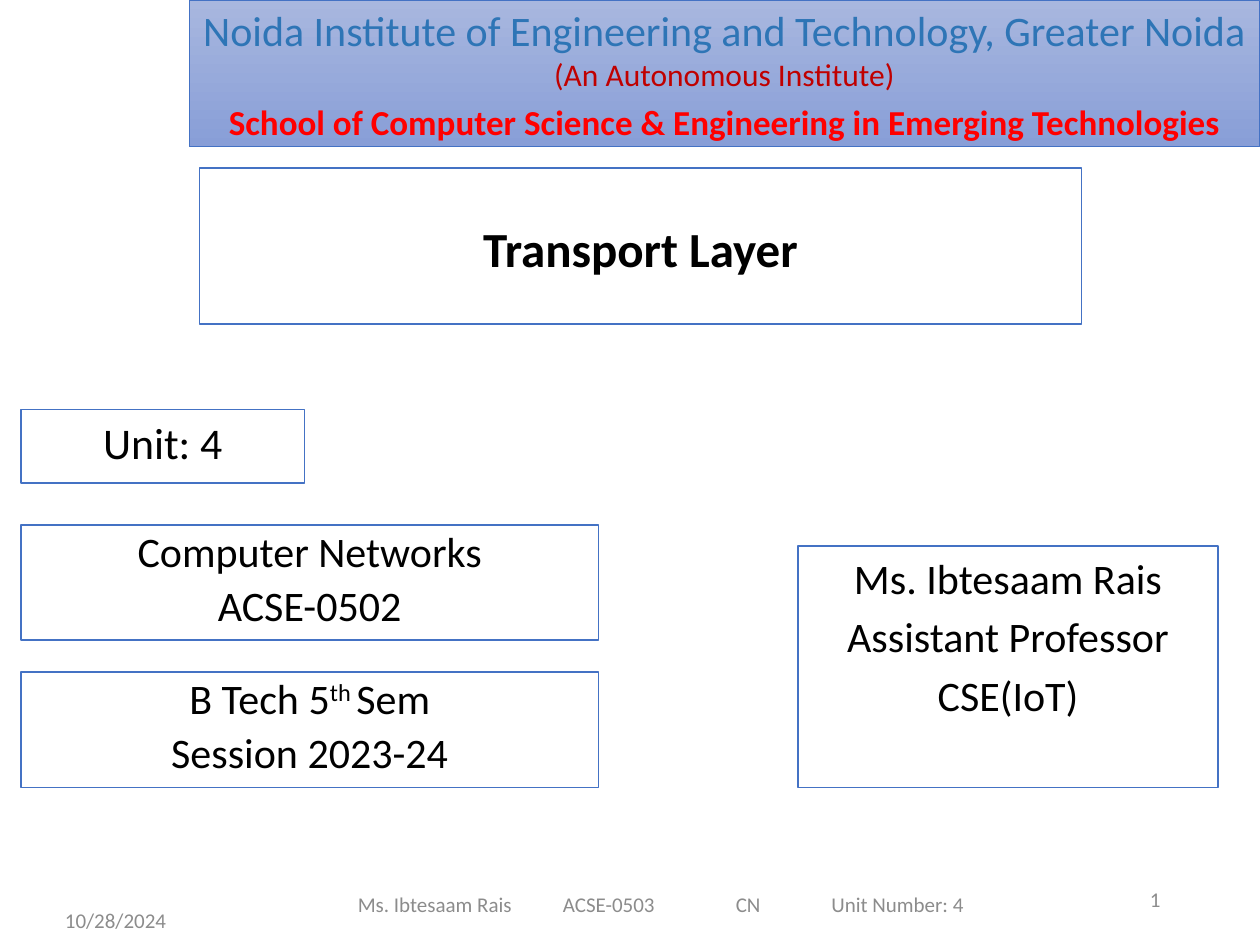
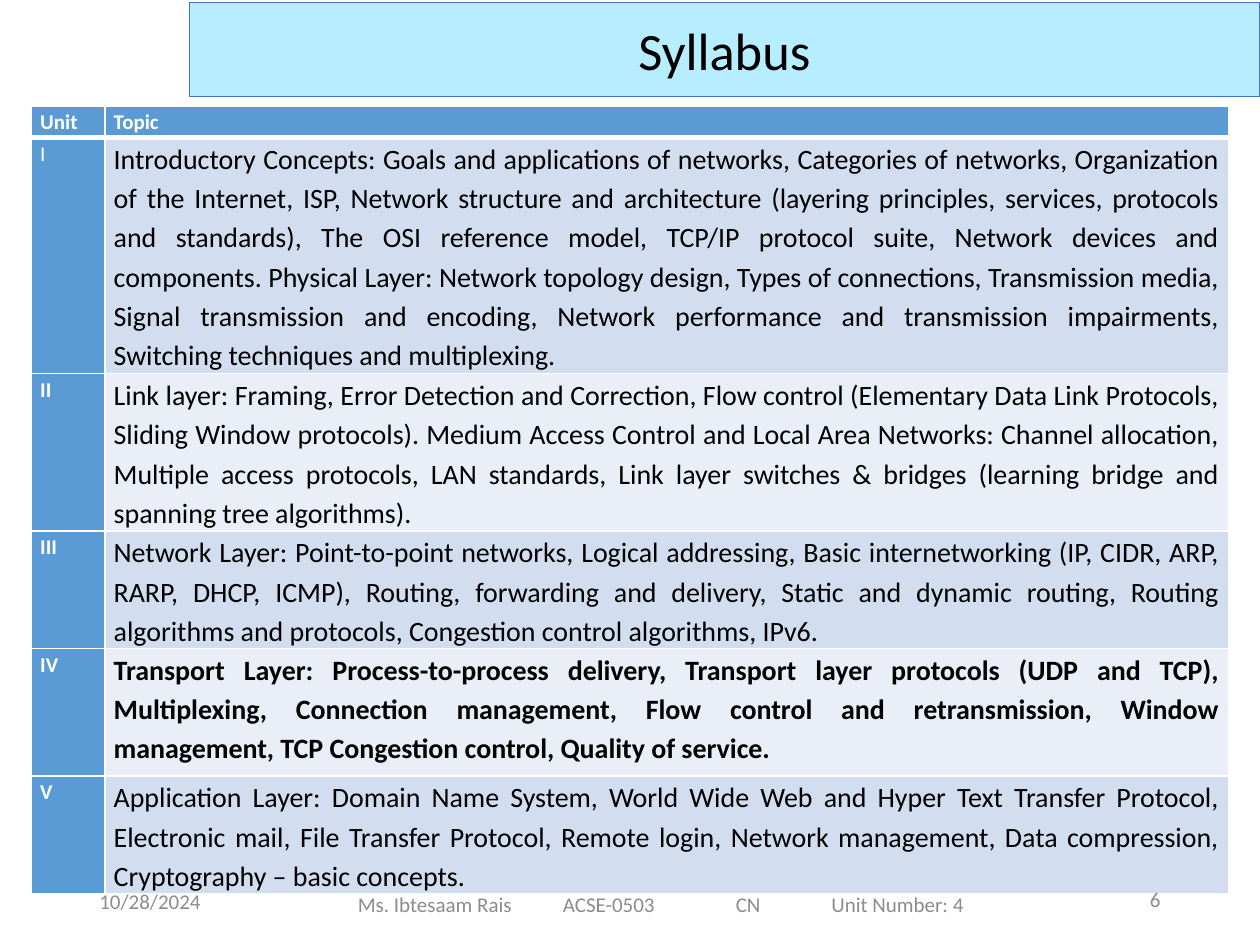
from dataclasses import dataclass, field
from typing import Any

from lxml.etree import SubElement
from pptx import Presentation
from pptx.dml.color import RGBColor
from pptx.enum.shapes import MSO_SHAPE
from pptx.enum.text import MSO_ANCHOR, PP_ALIGN
from pptx.oxml.ns import qn
from pptx.util import Pt

FONT = "Calibri"
BLACK = RGBColor(0x00, 0x00, 0x00)
WHITE = RGBColor(0xFF, 0xFF, 0xFF)
GREY = RGBColor(0x8C, 0x8C, 0x8C)
OUTLINE = RGBColor(0x44, 0x72, 0xC4)
INSTITUTE_BLUE = RGBColor(0x2E, 0x75, 0xB6)
DARK_RED = RGBColor(0xC0, 0x00, 0x00)
RED = RGBColor(0xFF, 0x00, 0x00)
BAND_TOP = RGBColor(0xA8, 0xB7, 0xDF)
BAND_BOTTOM = RGBColor(0x88, 0x9E, 0xD7)
TITLE_BAND = RGBColor(0xB7, 0xEE, 0xFF)
TABLE_HEAD = RGBColor(0x5B, 0x9B, 0xD5)
ROW_DARK = RGBColor(0xD2, 0xDE, 0xEF)
ROW_LIGHT = RGBColor(0xEA, 0xEF, 0xF7)

DATE = "10/28/2024"
FOOTER = ("Ms. Ibtesaam Rais", "ACSE-0503", "CN", "Unit Number: 4")
FOOTER_TABS = (117.2, 216, 270.6)


@dataclass
class Span:
    text: str
    size: float = 24
    color: RGBColor = BLACK
    bold: bool = False
    raised: bool = False


@dataclass
class Para:
    spans: list[Span]
    format: dict[str, Any] = field(default_factory=dict)


@dataclass
class Bounds:
    left: float
    top: float
    width: float
    height: float

    def lengths(self) -> tuple[Pt, Pt, Pt, Pt]:
        return Pt(self.left), Pt(self.top), Pt(self.width), Pt(self.height)


@dataclass
class Card:
    bounds: Bounds
    paras: list[Para]
    frame: dict[str, Any] = field(default_factory=dict)


@dataclass
class Unit:
    number: str
    topic: str
    height: float
    bold_number: bool = True
    bold_topic: bool = False


def set_all(target, values: dict[str, Any]) -> None:
    for name, value in values.items():
        setattr(target, name, value)


def centred(*lines: str, size: float = 24, **values) -> list[Para]:
    """Centred lines, with a gap of a fifth of their size between them."""
    paras = [Para([Span(line, size)], {"alignment": PP_ALIGN.CENTER, **values}) for line in lines]
    for para in paras[1:]:
        para.format["space_before"] = Pt(size / 5)
    return paras


def write(text_frame, paras: list[Para]) -> None:
    for index, para in enumerate(paras):
        paragraph = text_frame.add_paragraph() if index else text_frame.paragraphs[0]
        set_all(paragraph, para.format)
        for span in para.spans:
            run = paragraph.add_run()
            run.text = span.text
            set_all(run.font, {"name": FONT, "size": Pt(span.size), "bold": span.bold})
            run.font.color.rgb = span.color
            if span.raised:
                run.font._element.set("baseline", "30000")


def add_card(page, card: Card, line_width: float = 1, fill: RGBColor = WHITE):
    box = page.shapes.add_shape(MSO_SHAPE.RECTANGLE, *card.bounds.lengths())
    box.shadow.inherit = False
    box.fill.solid()
    box.fill.fore_color.rgb = fill
    box.line.color.rgb = OUTLINE
    box.line.width = Pt(line_width)
    set_all(box.text_frame, {"word_wrap": True, "vertical_anchor": MSO_ANCHOR.TOP, **card.frame})
    write(box.text_frame, card.paras)
    return box


def add_band(page, bounds: Bounds, paras: list[Para], fill: RGBColor):
    middle = {"vertical_anchor": MSO_ANCHOR.MIDDLE}
    return add_card(page, Card(bounds, paras, middle), 0.5, fill)


def add_footer_text(page, bounds: Bounds, text: str, align=PP_ALIGN.LEFT):
    box = page.shapes.add_textbox(*bounds.lengths())
    set_all(box.text_frame, {"word_wrap": True, "vertical_anchor": MSO_ANCHOR.MIDDLE})
    write(box.text_frame, [Para([Span(text, 12, GREY)], {"alignment": align})])
    return box


def add_footer(page, date_bounds: Bounds, number: int) -> None:
    add_footer_text(page, date_bounds, DATE)
    course = add_footer_text(page, Bounds(180, 502.5, 396, 28.8), "\t".join(FOOTER))
    course.text_frame.margin_left = Pt(24.5)
    properties = course.text_frame.paragraphs[0]._p.get_or_add_pPr()
    tabs = SubElement(properties, qn("a:tabLst"))
    for position in FOOTER_TABS:
        SubElement(tabs, qn("a:tab"), pos=str(int(Pt(position))), algn="l")
    add_footer_text(page, Bounds(625.7, 499.7, 44.6, 28.8), str(number), PP_ALIGN.RIGHT)


def set_borders(cell, bottom: float) -> None:
    """White borders, one point wide but for the bottom; call before the fill is set."""
    properties = cell._tc.get_or_add_tcPr()
    for side, width in {"L": 1, "R": 1, "T": 1, "B": bottom}.items():
        line = SubElement(properties, qn(f"a:ln{side}"), w=str(int(Pt(width))))
        fill = SubElement(line, qn("a:solidFill"))
        SubElement(fill, qn("a:srgbClr"), val=str(WHITE))


def fill_cell(cell, span: Span, color: RGBColor, align=PP_ALIGN.LEFT, bottom: float = 1) -> None:
    set_borders(cell, bottom)
    cell.fill.solid()
    cell.fill.fore_color.rgb = color
    set_all(cell, {"margin_left": Pt(5), "margin_right": Pt(5), "margin_top": 0, "margin_bottom": 0})
    write(cell.text_frame, [Para([span], {"alignment": align, "line_spacing": 1.15})])


def add_syllabus(page, units: list[Unit]) -> None:
    heights = [18, *(unit.height for unit in units)]
    bounds = Bounds(18, 60.5, 684, sum(heights))
    table = page.shapes.add_table(len(heights), 2, *bounds.lengths()).table
    for column, width in zip(table.columns, (42, 642)):
        column.width = Pt(width)
    for row, height in zip(table.rows, heights):
        row.height = Pt(height)
    for column, heading in enumerate(("Unit", "Topic")):
        fill_cell(table.cell(0, column), Span(heading, 12, WHITE, True), TABLE_HEAD, bottom=3)
    for row, unit in enumerate(units, start=1):
        number = Span(unit.number, 12, WHITE, unit.bold_number)
        fill_cell(table.cell(row, 0), number, TABLE_HEAD)
        topic = Span(unit.topic, 16, BLACK, unit.bold_topic)
        fill_cell(table.cell(row, 1), topic, ROW_DARK if row % 2 else ROW_LIGHT, PP_ALIGN.JUSTIFY)


CENTER = {"alignment": PP_ALIGN.CENTER}

INSTITUTE = [
    Para([Span("Noida Institute of Engineering and Technology, Greater Noida", 24, INSTITUTE_BLUE)], CENTER),
    Para([Span("(An Autonomous Institute)", 18, DARK_RED)], CENTER),
    Para(
        [Span("School of Computer Science & Engineering in Emerging Technologies", 20, RED, True)],
        {**CENTER, "space_before": Pt(4)},
    ),
]

SEMESTER = [
    Para([Span("B Tech 5"), Span("th ", raised=True), Span("Sem")], {**CENTER, "line_spacing": 0.9}),
    Para([Span("Session 2023-24")], {**CENTER, "line_spacing": 0.9, "space_before": Pt(4.8)}),
]

COVER_CARDS = [
    Card(
        Bounds(114, 96, 504, 89.3),
        [Para([Span("Transport Layer", 28, bold=True)], CENTER)],
        {"vertical_anchor": MSO_ANCHOR.MIDDLE, "margin_top": Pt(6)},
    ),
    Card(Bounds(456, 312, 240, 138), centred("Ms. Ibtesaam Rais", "Assistant Professor", "CSE(IoT)")),
    Card(Bounds(12, 234, 162, 42), centred("Unit: 4", size=25)),
    Card(Bounds(12, 300, 330, 66), centred("Computer Networks", "ACSE-0502", line_spacing=0.9)),
    Card(Bounds(12, 384, 330, 66), SEMESTER),
]

UNITS = [
    Unit(
        "I",
        "Introductory Concepts: Goals and applications of networks, Categories of networks, "
        "Organization of the Internet, ISP, Network structure and architecture (layering principles, "
        "services, protocols and standards), The OSI reference model, TCP/IP protocol suite, "
        "Network devices and components. Physical Layer: Network topology design, Types of "
        "connections, Transmission media, Signal transmission and encoding, Network performance "
        "and transmission impairments, Switching techniques and multiplexing.",
        135,
        bold_number=False,
    ),
    Unit(
        "II",
        "Link layer: Framing, Error Detection and Correction, Flow control (Elementary Data Link "
        "Protocols, Sliding Window protocols). Medium Access Control and Local Area Networks: "
        "Channel allocation, Multiple access protocols, LAN standards, Link layer switches & "
        "bridges (learning bridge and spanning tree algorithms).",
        90,
    ),
    Unit(
        "III",
        "Network Layer: Point-to-point networks, Logical addressing, Basic internetworking (IP, "
        "CIDR, ARP, RARP, DHCP, ICMP), Routing, forwarding and delivery, Static and dynamic "
        "routing, Routing algorithms and protocols, Congestion control algorithms, IPv6.",
        67,
    ),
    Unit(
        "IV",
        "Transport Layer: Process-to-process delivery, Transport layer protocols (UDP and TCP), "
        "Multiplexing, Connection management, Flow control and retransmission, Window management, "
        "TCP Congestion control, Quality of service.",
        73,
        bold_topic=True,
    ),
    Unit(
        "V",
        "Application Layer: Domain Name System, World Wide Web and Hyper Text Transfer Protocol, "
        "Electronic mail, File Transfer Protocol, Remote login, Network management, Data "
        "compression, Cryptography – basic concepts.",
        67,
    ),
]


def build_cover(page) -> None:
    for card in COVER_CARDS:
        add_card(page, card)
    add_footer(page, Bounds(30, 511.2, 168, 28.8), 1)
    band = add_band(page, Bounds(108, 0, 612, 84), INSTITUTE, BAND_TOP)
    band.fill.gradient()
    band.fill.gradient_angle = 270
    for stop, color in zip(band.fill.gradient_stops, (BAND_TOP, BAND_BOTTOM)):
        stop.color.rgb = color


def build_syllabus(page) -> None:
    add_syllabus(page, UNITS)
    add_footer(page, Bounds(49.7, 500.4, 81.4, 28.8), 6)
    add_band(page, Bounds(108, 1.2, 612, 54), centred("Syllabus", size=30), TITLE_BAND)


def main() -> None:
    deck = Presentation()
    deck.slide_width, deck.slide_height = Pt(720), Pt(540)
    for build in (build_cover, build_syllabus):
        build(deck.slides.add_slide(deck.slide_layouts[6]))
    deck.save("out.pptx")


if __name__ == "__main__":
    main()
